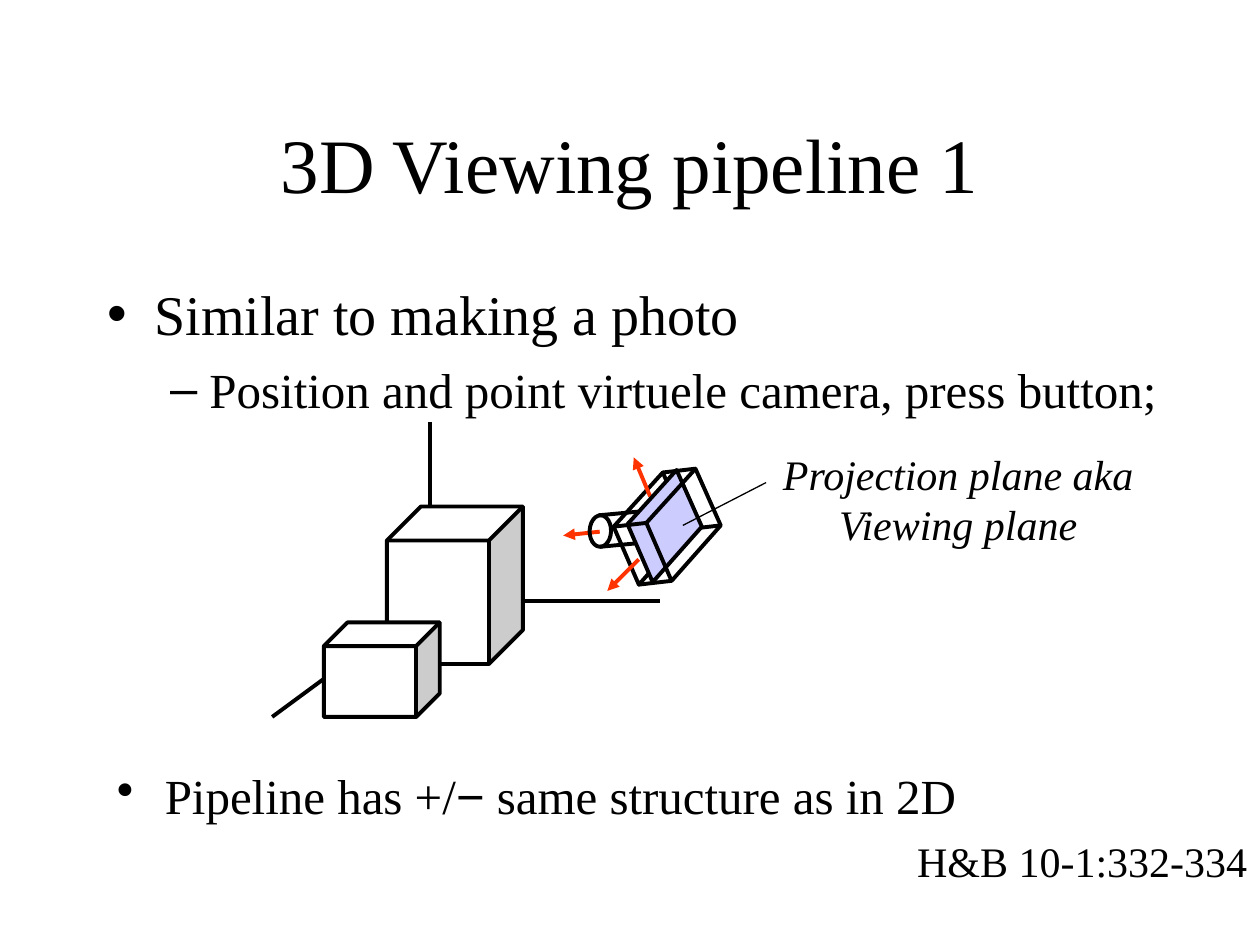
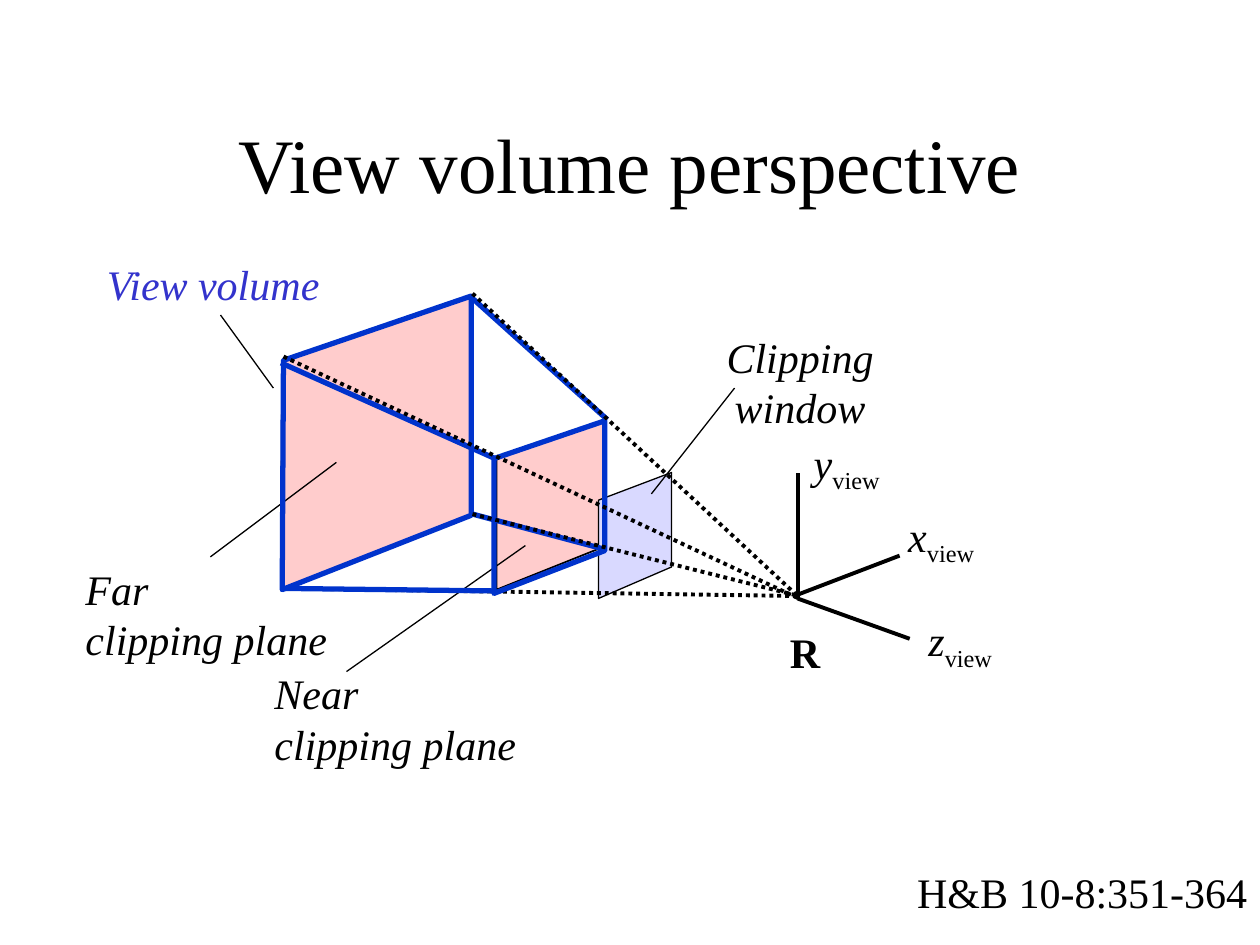
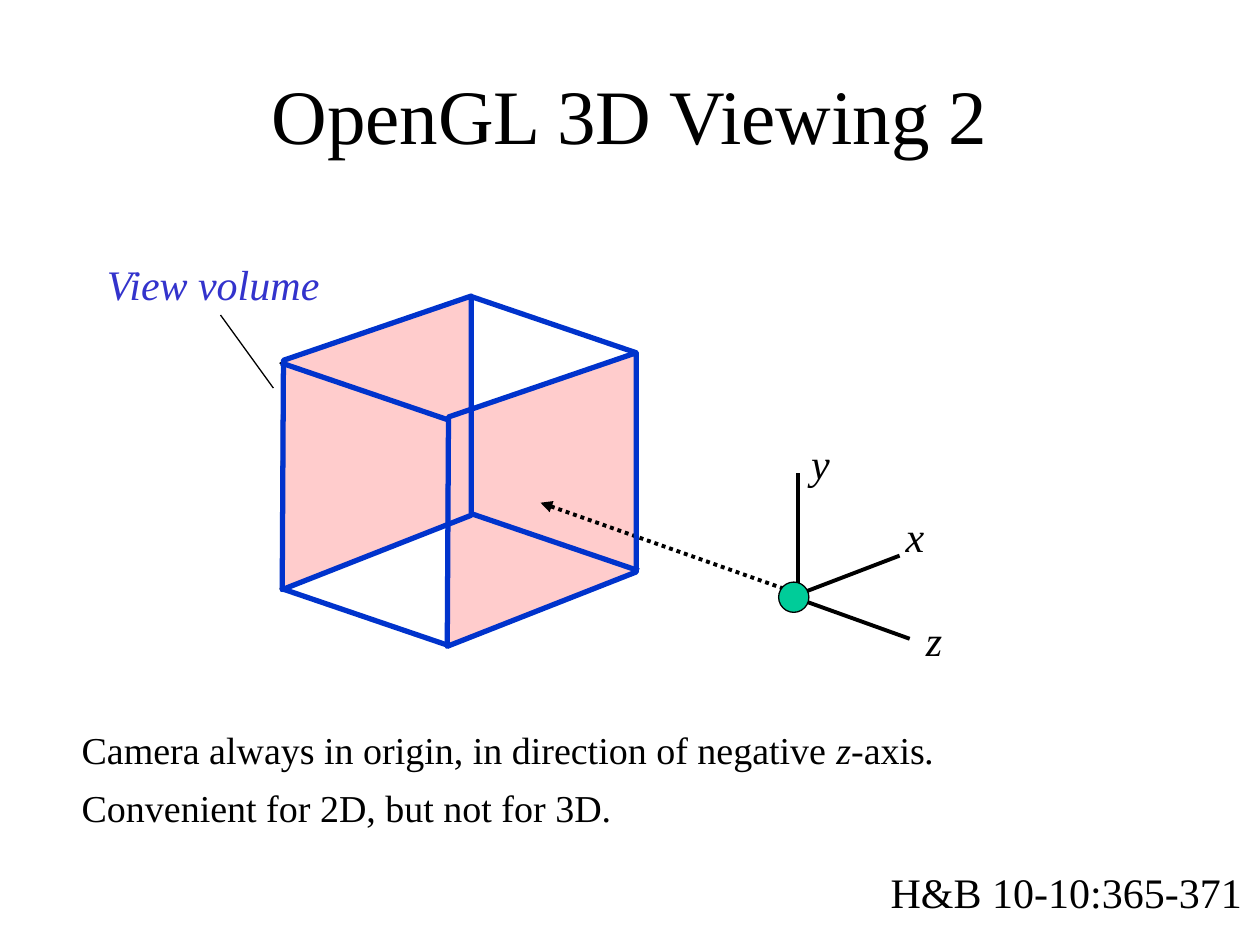
from lxml import etree
from pptx import Presentation
from pptx.dml.color import RGBColor
from pptx.enum.dml import MSO_LINE
from pptx.enum.shapes import MSO_CONNECTOR, MSO_SHAPE
from pptx.enum.text import MSO_ANCHOR, MSO_AUTO_SIZE, PP_ALIGN
from pptx.oxml.ns import qn
from pptx.util import Pt

PX = 9144
BLACK = RGBColor(0x00, 0x00, 0x00)
WHITE = RGBColor(0xFF, 0xFF, 0xFF)
ORANGE = RGBColor(0xFF, 0x33, 0x00)
LAVENDER = RGBColor(0xCC, 0xCC, 0xFF)
PALE_LAVENDER = RGBColor(0xD9, 0xD9, 0xFF)
PINK = RGBColor(0xFF, 0xCC, 0xCC)
BLUE = RGBColor(0x00, 0x33, 0xCC)
VIOLET = RGBColor(0x33, 0x33, 0xCC)
GREEN = RGBColor(0x00, 0xCC, 0x99)

STRAIGHT = MSO_CONNECTOR.STRAIGHT
DOTTED = MSO_LINE.ROUND_DOT
CUBE = MSO_SHAPE.CUBE
OVAL = MSO_SHAPE.OVAL
LEFT = PP_ALIGN.LEFT
CENTER = PP_ALIGN.CENTER
NO_AUTOFIT = MSO_AUTO_SIZE.NONE
MIDDLE = MSO_ANCHOR.MIDDLE

TITLE_AND_BODY = 1
TITLE_ONLY = 5
THIN, MEDIUM, THICK = 0.75, 2.25, 3
PLAIN = {"name": "Times New Roman", "size": Pt(24), "italic": False}
ITALIC = {**PLAIN, "italic": True}

FAR_PLANE = [(223, 468), (373, 409), (373, 235), (224, 286)]
EDGE_STARTS = [(223, 288), (223, 467), (373, 235), (375, 408)]
BOX_DEPTH = (132, 45)


def moved(points, dx, dy):
    return [(x + dx, y + dy) for x, y in points]


def place(shape, left, top, width, height):
    values = {"left": left, "top": top, "width": width, "height": height}
    for name, value in values.items():
        setattr(shape, name, value * PX)


def add_span(para, text, look, color=BLACK, baseline=None):
    span = para.add_run()
    span.text = text
    for name, value in look.items():
        setattr(span.font, name, value)
    span.font.color.rgb = color
    if baseline:
        span._r.get_or_add_rPr().set("baseline", str(baseline))


def add_label(slide, bounds, lines, look=ITALIC, color=BLACK, align=LEFT):
    box = slide.shapes.add_textbox(*[value * PX for value in bounds])
    frame = box.text_frame
    frame.word_wrap = False
    frame.auto_size = NO_AUTOFIT
    for index, line in enumerate(lines):
        para = frame.add_paragraph() if index else frame.paragraphs[0]
        para.alignment = align
        add_span(para, line, look, color)
    return frame


def add_title(slide, text, top):
    title = slide.shapes.title
    place(title, 75, top, 850, 125)
    title.text_frame.auto_size = NO_AUTOFIT
    title.text_frame.vertical_anchor = MIDDLE
    para = title.text_frame.paragraphs[0]
    para.alignment = CENTER
    add_span(para, text, {**PLAIN, "size": Pt(44)})


def add_body(slide, bounds, items):
    body = slide.placeholders[1]
    place(body, *bounds)
    frame = body.text_frame
    frame.auto_size = NO_AUTOFIT
    for index, (text, level, size) in enumerate(items):
        para = frame.add_paragraph() if index else frame.paragraphs[0]
        para.level = level
        para.space_before = Pt(7 if index else 0)
        add_span(para, text, {**PLAIN, "size": Pt(size)})


def add_bullet(para, indent):
    properties = para._p.get_or_add_pPr()
    properties.set("marL", str(indent * PX))
    properties.set("indent", str(-indent * PX))
    etree.SubElement(properties, qn("a:buChar"), char="•")


def add_line(slide, start, end, color=BLACK, weight=MEDIUM, dash=None, head=None, tail=None):
    line = slide.shapes.add_connector(STRAIGHT, *[value * PX for value in (*start, *end)])
    line.line.color.rgb = color
    line.line.width = Pt(weight)
    if dash:
        line.line.dash_style = dash
    properties = line.element.spPr
    outline = properties.find(qn("a:ln"))
    for tag, kind in (("a:headEnd", head), ("a:tailEnd", tail)):
        if kind:
            etree.SubElement(outline, qn(tag), type=kind)
    etree.SubElement(properties, qn("a:effectLst"))


def paint(shape, fill, color, weight):
    shape.shadow.inherit = False
    if fill is None:
        shape.fill.background()
    else:
        shape.fill.solid()
        shape.fill.fore_color.rgb = fill
    shape.line.color.rgb = color
    shape.line.width = Pt(weight)


def add_plane(slide, points, fill=None, color=BLACK, weight=MEDIUM):
    builder = slide.shapes.build_freeform(*points[0], scale=PX)
    builder.add_line_segments(points[1:], close=True)
    paint(builder.convert_to_shape(), fill, color, weight)


def add_solid(slide, kind, bounds, fill=None, weight=MEDIUM, rotation=0):
    solid = slide.shapes.add_shape(kind, *[value * PX for value in bounds])
    solid.rotation = rotation
    paint(solid, fill, BLACK, weight)


def add_source(slide, text, left, top, width):
    add_label(slide, (left, top, width, 50), [text], PLAIN)


def add_axes(slide, shift, size, suffix=""):
    for start, end in (((633, 475), (722, 507)), ((633, 475), (633, 375)), ((633, 472), (714, 441))):
        add_line(slide, start, end)
    for name, left, top in (("z", 725, 483), ("x", 709, 400), ("y", 634, 342)):
        frame = add_label(slide, (left + shift, top, *size), [name])
        if suffix:
            add_span(frame.paragraphs[0], suffix, PLAIN, baseline=-25000)


def add_volume_label(slide):
    add_label(slide, (75, 200, 208, 50), ["View volume"], color=VIOLET)
    add_line(slide, (217, 308), (175, 250), weight=THIN)


def add_camera(slide):
    back = [(487, 418), (507, 464), (546, 420), (526, 375)]
    front = moved(back, 26, -3)
    edges = list(zip(back, front))
    add_line(slide, (476, 422), (447, 425), ORANGE, tail="triangle")
    add_plane(slide, back)
    for start, end in edges[1:]:
        add_line(slide, start, end)
    for left, top in ((511, 405), (468, 409)):
        add_solid(slide, OVAL, (left, top, 17, 25), rotation=1.8)
    for start, end in (((475, 409), (518, 405)), ((476, 434), (518, 430))):
        add_line(slide, start, end)
    for start, end in (((507, 444), (482, 469)), ((516, 394), (503, 363))):
        add_line(slide, start, end, ORANGE, tail="triangle")
    add_plane(slide, moved(back, 11, -2), LAVENDER)
    add_label(slide, (611, 351, 299, 90), ["Projection plane aka", "Viewing plane"], align=CENTER)
    add_line(slide, (542, 417), (608, 383), weight=THIN)
    add_plane(slide, front)
    add_line(slide, *edges[0])


def build_pipeline(deck):
    slide = deck.slides.add_slide(deck.slide_layouts[TITLE_AND_BODY])
    add_title(slide, "3D Viewing pipeline 1", 67)
    add_body(slide, (75, 217, 890, 142), [
        ("Similar to making a photo", 0, 32),
        ("Position and point virtuele camera, press button;", 1, 28),
    ])
    for end in ((341, 335), (216, 569), (524, 477)):
        add_line(slide, (341, 477), end)
    for bounds in ((307, 402, 108, 125), (257, 494, 92, 75)):
        add_solid(slide, CUBE, bounds, WHITE)
    add_camera(slide)
    look = {**PLAIN, "size": Pt(28)}
    frame = add_label(slide, (83, 608, 850, 92), ["Pipeline has +/"], look)
    frame.word_wrap = True
    para = frame.paragraphs[0]
    para.line_spacing = 0.9
    add_bullet(para, 38)
    add_span(para, "−", {**look, "name": "Arial"})
    add_span(para, " same structure as in 2D", look)
    add_source(slide, "H&B 10-1:332-334", 718, 658, 282)


def build_perspective(deck):
    slide = deck.slides.add_slide(deck.slide_layouts[TITLE_ONLY])
    near_plane = [(394, 468), (479, 434), (479, 334), (394, 363)]
    near_outline = [(392, 471), (480, 437), (480, 334), (392, 364)]
    edge_ends = [(393, 364), (392, 469), (482, 333), (480, 436)]
    for plane in (FAR_PLANE, near_plane):
        add_plane(slide, plane, PINK, weight=1)
    add_title(slide, "View volume perspective", 67)
    add_plane(slide, [(475, 475), (533, 450), (533, 375), (475, 397)], PALE_LAVENDER, weight=THIN)
    add_label(slide, (567, 258, 136, 90), ["Clipping", "window"], align=CENTER)
    add_axes(slide, 2, (71, 56), "view")
    add_line(slide, (225, 467), (630, 473), dash=DOTTED)
    for name, left, top in (("Near", 208, 525), ("Far", 58, 442)):
        add_label(slide, (left, top, 211, 90), [name, "clipping plane"])
    for start, end in (((275, 533), (417, 433)), ((167, 442), (267, 367))):
        add_line(slide, start, end, weight=THIN)
    for outline in (moved(FAR_PLANE, 1, 0), near_outline):
        add_plane(slide, outline, color=BLUE, weight=THICK)
    for start, end in zip(EDGE_STARTS, edge_ends):
        add_line(slide, start, end, BLUE, THICK)
    add_volume_label(slide)
    add_line(slide, (633, 475), (633, 475), ORANGE, head="oval", tail="oval")
    for start, end in (((225, 283), (634, 475)), ((375, 233), (634, 474)), ((375, 408), (634, 473))):
        add_line(slide, start, end, dash=DOTTED)
    add_label(slide, (617, 492, 44, 50), ["R"], {**PLAIN, "bold": True})
    add_line(slide, (517, 392), (583, 308), weight=THIN)
    add_source(slide, "H&B 10-8:351-364", 718, 683, 282)


def add_view_box(slide, shift, fill, color, weight, edge_starts):
    for plane in (FAR_PLANE, moved(FAR_PLANE, 131, 45)):
        add_plane(slide, moved(plane, shift, 0), fill, color, weight)
    for start, end in zip(edge_starts, moved(edge_starts, *BOX_DEPTH)):
        add_line(slide, start, end, color, weight)


def build_opengl(deck):
    slide = deck.slides.add_slide(deck.slide_layouts[TITLE_ONLY])
    add_view_box(slide, 0, PINK, BLACK, 1, moved(EDGE_STARTS[:3], -1, 0))
    add_title(slide, "OpenGL 3D Viewing 2", 28)
    add_axes(slide, 0, (34, 50))
    add_line(slide, (429, 399), (630, 470), dash=DOTTED, head="triangle")
    add_view_box(slide, 1, None, BLUE, THICK, EDGE_STARTS)
    add_volume_label(slide)
    add_source(slide, "H&B 10-10:365-371", 697, 683, 298)
    add_solid(slide, OVAL, (618, 462, 24, 24), GREEN, THIN)
    plain = {**PLAIN, "size": Pt(21.7)}
    italic = {**plain, "italic": True}
    lines = ["Camera always in origin, in direction of negative ", "Convenient for 2D, but not for 3D."]
    frame = add_label(slide, (55, 572, 917, 94), lines, plain)
    frame.word_wrap = True
    for text, look in (("z-", italic), ("axis", plain), (".", italic)):
        add_span(frame.paragraphs[0], text, look)
    frame.paragraphs[1].space_before = Pt(7)


def main():
    deck = Presentation()
    deck.slide_width = 1000 * PX
    deck.slide_height = 750 * PX
    build_pipeline(deck)
    build_perspective(deck)
    build_opengl(deck)
    deck.save("out.pptx")


if __name__ == "__main__":
    main()
